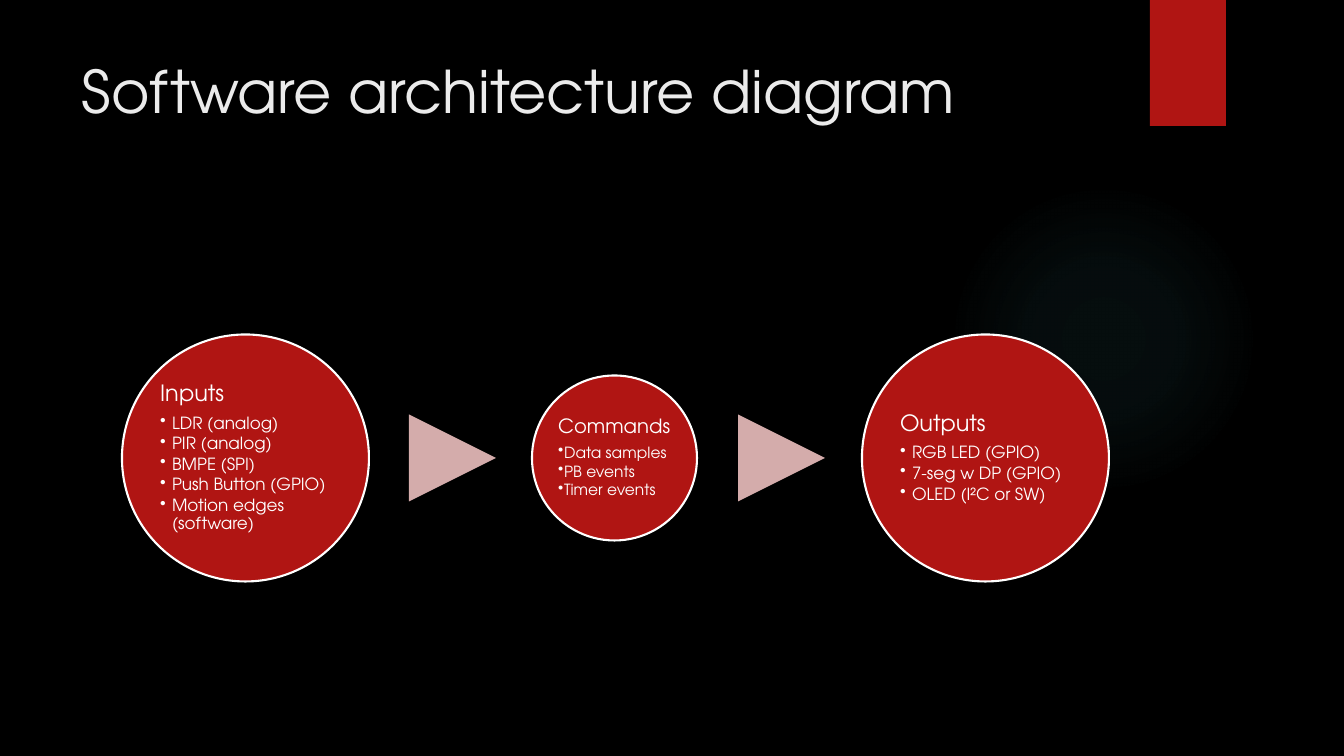
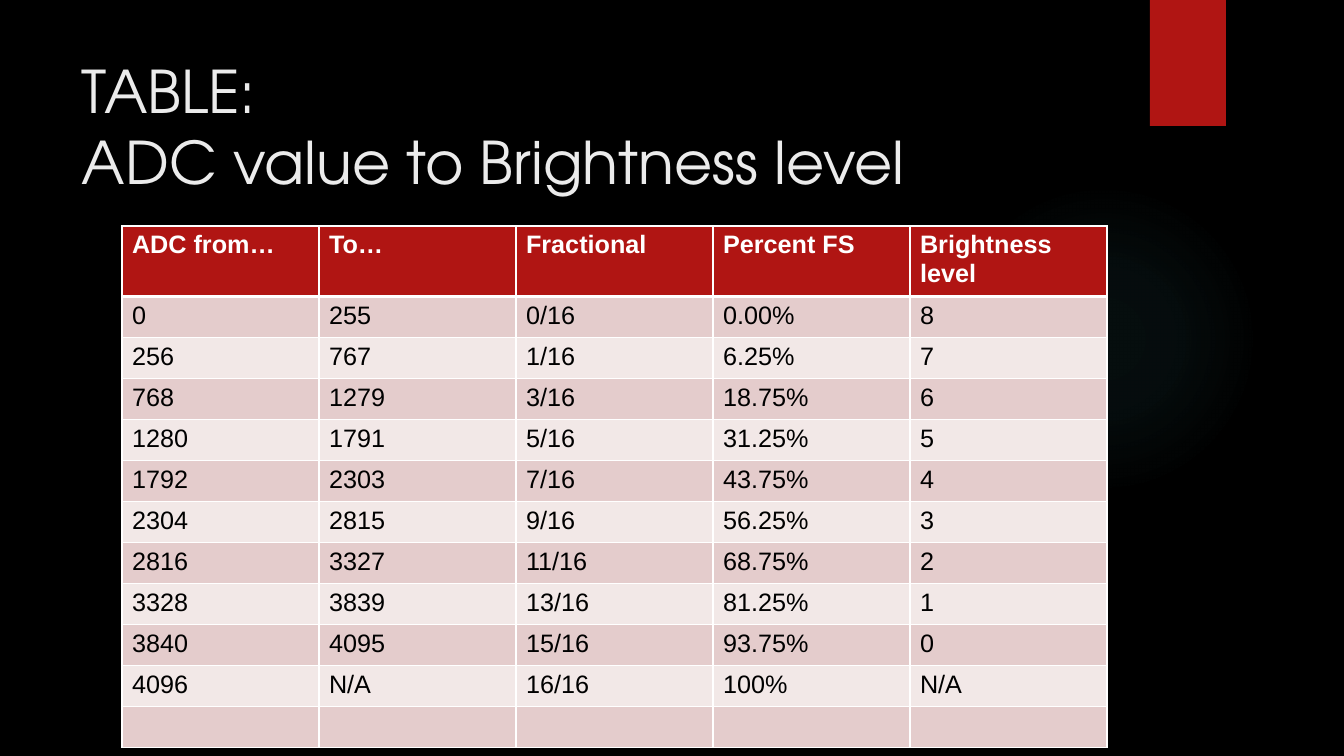
from lxml import etree
from pptx import Presentation
from pptx import util as u
from pptx.dml.color import RGBColor
from pptx.enum import shapes, text
from pptx.oxml import parse_xml
from pptx.oxml.ns import nsdecls, qn

RED = RGBColor(0xB0, 0x15, 0x13)
PINK = RGBColor(0xD4, 0xAC, 0xAB)
DARK = RGBColor(0xE4, 0xCC, 0xCC)
LIGHT = RGBColor(0xF2, 0xE8, 0xE7)
PALE = RGBColor(0xEB, 0xEB, 0xEB)
GLOW = RGBColor(0x50, 0xB9, 0xC1)
WHITE = RGBColor(0xFF, 0xFF, 0xFF)
BLACK = RGBColor(0, 0, 0)

SANS = "TeX Gyre Adventor"
WIDE, HIGH = 1344, 756
SCALE = 12192000 / WIDE
KIND = shapes.MSO_SHAPE

TITLES = ["Software architecture diagram", "TABLE:\vADC value to Brightness level"]
MID = 458
BIG = {"size": 247, "head": 16, "item": 12, "indent": 12}
SMALL = {"size": 165, "head": 14, "item": 11, "indent": 6}
STAGES = [
    (122, BIG, "Inputs", ["LDR (analog)", "PIR (analog)", "BMPE (SPI)",
                          "Push Button (GPIO)", "Motion edges (software)"]),
    (532, SMALL, "Commands", ["Data samples", "PB events", "Timer events"]),
    (862, BIG, "Outputs", ["RGB LED (GPIO)", "7-seg w DP (GPIO)", "OLED (I²C or SW)"]),
]
ARROWS = [409, 738]
ARROW = 87

ROWS = [
    ("ADC from…", "To…", "Fractional", "Percent FS", "Brightness level"),
    ("0", "255", "0/16", "0.00%", "8"),
    ("256", "767", "1/16", "6.25%", "7"),
    ("768", "1279", "3/16", "18.75%", "6"),
    ("1280", "1791", "5/16", "31.25%", "5"),
    ("1792", "2303", "7/16", "43.75%", "4"),
    ("2304", "2815", "9/16", "56.25%", "3"),
    ("2816", "3327", "11/16", "68.75%", "2"),
    ("3328", "3839", "13/16", "81.25%", "1"),
    ("3840", "4095", "15/16", "93.75%", "0"),
    ("4096", "N/A", "16/16", "100%", "N/A"),
    ("", "", "", "", ""),
]
LEFT, TOP, COL, ROW, HEAD = 122, 226, 197, 41, 66


def px(n):
    return u.Emu(round(n * SCALE))


def apply(obj, form):
    for key, val in form.items():
        setattr(obj, key, val)


def style(font, color, **form):
    apply(font, form)
    font.color.rgb = color


def draw(slide, kind, x, y, w, h, fill, edge=None):
    shape = slide.shapes.add_shape(kind, *map(px, (x, y, w, h)))
    shape.shadow.inherit = False
    shape.fill.solid()
    shape.fill.fore_color.rgb = fill
    if edge is None:
        shape.line.fill.background()
    else:
        shape.line.color.rgb = edge
        shape.line.width = u.Pt(1.5)
    return shape


def glow(slide):
    shape = draw(slide, KIND.OVAL, 949, 184, 310, 310, GLOW)
    stops = "".join(
        f'<a:gs pos="{pos}000"><a:srgbClr val="{GLOW}"><a:alpha val="{alpha}000"/>'
        f'</a:srgbClr></a:gs>' for pos, alpha in [(0, 7), (36, 6), (69, 0)])
    grad = parse_xml(
        f'<a:gradFill {nsdecls("a")}><a:gsLst>{stops}</a:gsLst><a:path path="circle">'
        '<a:fillToRect l="50000" t="50000" r="50000" b="50000"/></a:path></a:gradFill>')
    props = shape._element.spPr
    props.replace(props.find(qn("a:solidFill")), grad)


def start(deck, title):
    slide = deck.slides.add_slide(deck.slide_layouts[6])
    glow(slide)
    draw(slide, KIND.RECTANGLE, 1150, 0, 76, 126, RED)
    frame = slide.shapes.add_textbox(*map(px, (72, 50, 1037, 154))).text_frame
    frame.word_wrap = True
    para = frame.paragraphs[0]
    para.text = title
    style(para.font, PALE, name=SANS, size=u.Pt(42))
    return slide


def bullet(para, indent):
    props = para._p.get_or_add_pPr()
    props.set("marL", str(px(indent)))
    props.set("indent", str(-px(indent)))
    etree.SubElement(props, qn("a:buChar")).set("char", "•")


def stage(slide, x, look, head, items):
    size = look["size"]
    shape = draw(slide, KIND.OVAL, x, MID - size / 2, size, size, RED, WHITE)
    frame = shape.text_frame
    apply(frame, {"word_wrap": True, "vertical_anchor": text.MSO_ANCHOR.MIDDLE,
                  "margin_left": px(2), "margin_right": 0,
                  "margin_top": px(2), "margin_bottom": px(2)})
    for i, line in enumerate([head, *items]):
        para = frame.add_paragraph() if i else frame.paragraphs[0]
        pts, gap = (look["item"], 0.15) if i else (look["head"], 0.35)
        apply(para, {"text": line, "alignment": text.PP_ALIGN.LEFT,
                     "line_spacing": 0.9, "space_after": u.Pt(pts * gap)})
        if i:
            bullet(para, look["indent"])
        style(para.runs[0].font, WHITE, name=SANS, size=u.Pt(pts))


def border(cell, row):
    props = cell._tc.get_or_add_tcPr()
    for i, side in enumerate("LRTB"):
        thick = (row, side) in [(0, "B"), (1, "T")]
        props.insert(i, parse_xml(
            f'<a:ln{side} {nsdecls("a")} w="{u.Pt(3 if thick else 1)}"><a:solidFill>'
            f'<a:srgbClr val="{WHITE}"/></a:solidFill></a:ln{side}>'))


def grid(slide):
    count, cols = len(ROWS), len(ROWS[0])
    area = LEFT, TOP, COL * cols, HEAD + ROW * (count - 1)
    table = slide.shapes.add_table(count, cols, *map(px, area)).table
    for col in table.columns:
        col.width = px(COL)
    for r, row in enumerate(ROWS):
        table.rows[r].height = px(ROW if r else HEAD)
        fill = (LIGHT, DARK)[r % 2] if r else RED
        for c, word in enumerate(row):
            cell = table.cell(r, c)
            cell.fill.solid()
            cell.fill.fore_color.rgb = fill
            border(cell, r)
            para = cell.text_frame.paragraphs[0]
            para.text = word
            for run in para.runs:
                style(run.font, BLACK if r else WHITE, name="Arial",
                      size=u.Pt(18), bold=not r)


def main():
    deck = Presentation()
    apply(deck, {"slide_width": px(WIDE), "slide_height": px(HIGH)})
    back = deck.slide_master.background.fill
    back.solid()
    back.fore_color.rgb = BLACK
    flow, levels = [start(deck, title) for title in TITLES]
    for item in STAGES:
        stage(flow, *item)
    for x in ARROWS:
        arrow = draw(flow, KIND.ISOSCELES_TRIANGLE, x, MID - ARROW / 2, ARROW, ARROW, PINK)
        arrow.rotation = 90
    grid(levels)
    deck.save("out.pptx")


if __name__ == "__main__":
    main()
